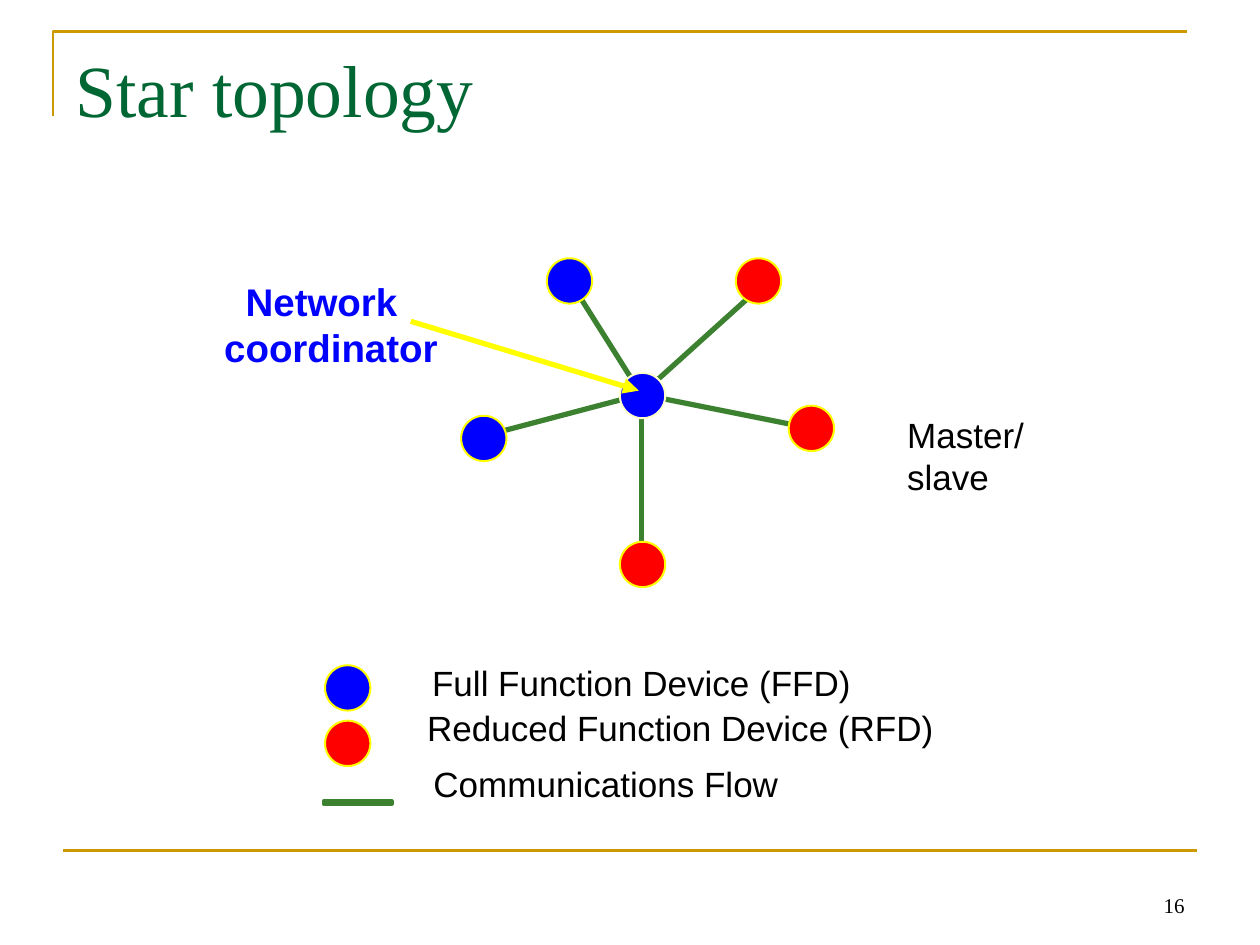
from lxml import etree
from pptx import Presentation
from pptx.dml.color import RGBColor
from pptx.enum.shapes import MSO_CONNECTOR, MSO_SHAPE
from pptx.enum.text import MSO_ANCHOR, PP_ALIGN
from pptx.oxml.ns import qn
from pptx.util import Inches, Pt

STRAIGHT = MSO_CONNECTOR.STRAIGHT
OVAL, RECTANGLE = MSO_SHAPE.OVAL, MSO_SHAPE.RECTANGLE
TOP, BOTTOM = MSO_ANCHOR.TOP, MSO_ANCHOR.BOTTOM
LEFT, RIGHT = PP_ALIGN.LEFT, PP_ALIGN.RIGHT

COLORS = {
    "gold": "CC9900", "title": "006633", "text": "000000",
    "flow": "3B812F", "flow_fill": "008000",
    "ffd": "0000FF", "rfd": "FF0000",
    "ring": "FFFF00", "hub_ring": "FFFFCC",
}
DEVICE_SIZE = 0.36
HUB = (5.09, 3.13)

# Device type, left, top, end of its link to the hub
DEVICES = [
    ("rfd", 4.92, 4.3, (5.09, 4.63)),
    ("rfd", 6.26, 3.22, (6.34, 3.38)),
    ("rfd", 5.84, 2.05, (6.01, 2.3)),
    ("ffd", 4.34, 2.05, (4.51, 2.21)),
    ("ffd", 3.66, 3.3, (3.84, 3.46)),
]
# Text, left, top, width, height
LEGEND = [
    ("Full Function Device (FFD)", 3.43, 5.25, 3.8, 0.33),
    ("Reduced Function Device (RFD)", 3.39, 5.61, 4.51, 0.34),
    ("Communications Flow", 3.44, 6.05, 3.29, 0.34),
]
COORDINATOR = [
    ("Network", 1.95, 2.21, 1.21, 0.37),
    ("coordinator", 1.78, 2.57, 1.7, 0.37),
]


def rgb(name):
    return RGBColor.from_string(COLORS[name])


def add_line(slide, start, end, color, width, arrow=False):
    line = slide.shapes.add_connector(
        STRAIGHT, *(Inches(value) for value in (*start, *end)))
    line.line.color.rgb = rgb(color)
    line.line.width = Pt(width)
    if arrow:
        etree.SubElement(line.line._get_or_add_ln(), qn("a:tailEnd"), type="triangle")
    etree.SubElement(line._element.spPr, qn("a:effectLst"))


def add_filled(slide, preset, box, fill, outline, width):
    shape = slide.shapes.add_shape(preset, *(Inches(value) for value in box))
    shape.shadow.inherit = False
    shape.fill.solid()
    shape.fill.fore_color.rgb = rgb(fill)
    shape.line.color.rgb = rgb(outline)
    shape.line.width = Pt(width)


def add_device(slide, kind, left, top, ring="ring"):
    add_filled(slide, OVAL, (left, top, DEVICE_SIZE, DEVICE_SIZE), kind, ring, 1.12)


def add_text(slide, text, left, top, width, height, size=20, color="text",
             font="Arial", bold=False, align=LEFT, anchor=TOP, insets=(0, 0)):
    box = slide.shapes.add_textbox(
        Inches(left), Inches(top), Inches(width), Inches(height))
    frame = box.text_frame
    frame.word_wrap = True
    frame.vertical_anchor = anchor
    frame.margin_left = frame.margin_right = Inches(insets[0])
    frame.margin_top = frame.margin_bottom = Inches(insets[1])
    paragraph = frame.paragraphs[0]
    paragraph.text = text
    paragraph.alignment = align
    paragraph.font.name = font
    paragraph.font.size = Pt(size)
    paragraph.font.bold = bold
    paragraph.font.color.rgb = rgb(color)


def add_page_frame(slide):
    builder = slide.shapes.build_freeform(Inches(0.42), Inches(0.92))
    builder.add_line_segments(
        [(Inches(0.42), Inches(0.25)), (Inches(9.42), Inches(0.25))], close=False)
    corner = builder.convert_to_shape()
    corner.shadow.inherit = False
    corner.fill.background()
    corner.line.color.rgb = rgb("gold")
    corner.line.width = Pt(1.5)
    add_line(slide, (0.5, 6.75), (9.5, 6.75), "gold", 1.5)


def main():
    prs = Presentation()
    prs.slide_width, prs.slide_height = Inches(10), Inches(7.5)
    slide = prs.slides.add_slide(prs.slide_layouts[6])

    # Frame, page number and title
    add_page_frame(slide)
    add_text(slide, "16", 7.17, 6.83, 2.33, 0.5, size=12, font="Times New Roman",
             align=RIGHT, anchor=BOTTOM, insets=(0.1, 0.05))
    add_text(slide, "Star topology", 0.5, 0.3, 9, 1.25, size=42, color="title",
             font="Times New Roman", insets=(0.1, 0.05))

    # Star: links first, devices over them, hub last
    for _, _, _, link_end in DEVICES:
        add_line(slide, HUB, link_end, "flow", 3)
    for kind, left, top, _ in DEVICES:
        add_device(slide, kind, left, top)
    add_device(slide, "ffd", 4.92, 2.96, ring="hub_ring")

    # Legend
    add_device(slide, "ffd", 2.58, 5.28)
    add_device(slide, "rfd", 2.58, 5.72)
    add_filled(slide, RECTANGLE, (2.57, 6.36, 0.54, 0.02), "flow_fill", "flow", 2.25)
    for entry in LEGEND:
        add_text(slide, *entry)

    # Annotations
    add_text(slide, "Master/slave", 7.2, 3.28, 1.4, 0.67)
    for entry in COORDINATOR:
        add_text(slide, *entry, size=22, color="ffd", bold=True)
    add_line(slide, (3.26, 2.55), (5.07, 3.1), "ring", 3, arrow=True)

    prs.save("out.pptx")


if __name__ == "__main__":
    main()
